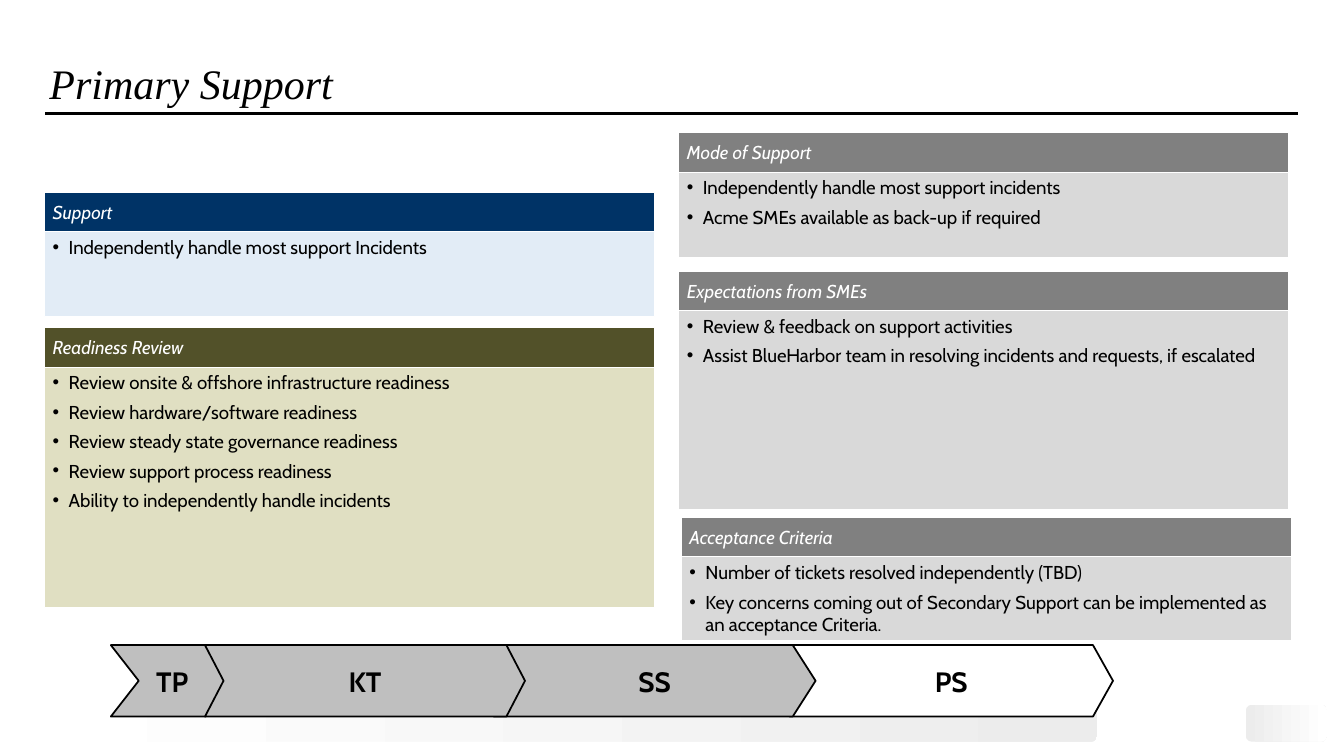
from dataclasses import dataclass

from lxml import etree
from pptx import Presentation
from pptx.dml.color import RGBColor
from pptx.enum.shapes import MSO_CONNECTOR, MSO_SHAPE
from pptx.enum.text import MSO_ANCHOR, PP_ALIGN
from pptx.oxml.ns import qn
from pptx.util import Inches, Pt

RECTANGLE, ROUNDED = MSO_SHAPE.RECTANGLE, MSO_SHAPE.ROUNDED_RECTANGLE
CHEVRON, STRAIGHT = MSO_SHAPE.CHEVRON, MSO_CONNECTOR.STRAIGHT
TOP, MIDDLE, BOTTOM = MSO_ANCHOR.TOP, MSO_ANCHOR.MIDDLE, MSO_ANCHOR.BOTTOM
LEFT, CENTER = PP_ALIGN.LEFT, PP_ALIGN.CENTER


@dataclass(frozen=True)
class Theme:
    title_font: str = "Times New Roman"
    body_font: str = "Cabin"
    title_size: int = 36
    body_size: int = 16
    phase_size: int = 24
    black: str = "000000"
    white: str = "FFFFFF"
    footer: str = "ECECEC"
    navy: str = "003366"
    pale_blue: str = "E2ECF6"
    olive: str = "525129"
    pale_olive: str = "E0DFC2"
    gray: str = "808080"
    pale_gray: str = "D9D9D9"
    phase_gray: str = "BFBFBF"


THEME = Theme()
PANEL_WIDTH, HEADER_HEIGHT = 7.26, 0.47
LEFT_COLUMN, RIGHT_COLUMN = 0.53, 8.08
NAVY = (THEME.navy, THEME.pale_blue)
OLIVE = (THEME.olive, THEME.pale_olive)
GRAY = (THEME.gray, THEME.pale_gray)

# left, top, body height, (header colour, body colour), heading, bullets
PANELS = [
    (LEFT_COLUMN, 2.29, 1.01, NAVY, "Support",
     ["Independently handle most support Incidents"]),
    (RIGHT_COLUMN, 1.58, 1.01, GRAY, "Mode of Support",
     ["Independently handle most support incidents",
      "Acme SMEs available as back-up if required"]),
    (LEFT_COLUMN, 3.9, 2.86, OLIVE, "Readiness Review",
     ["Review onsite & offshore infrastructure readiness",
      "Review hardware/software readiness",
      "Review steady state governance readiness",
      "Review support process readiness",
      "Ability to independently handle incidents"]),
    (RIGHT_COLUMN, 3.23, 2.36, GRAY, "Expectations from SMEs",
     ["Review & feedback on support activities",
      "Assist BlueHarbor team in resolving incidents and requests, if escalated"]),
    (RIGHT_COLUMN + 0.03, 6.16, 0.99, GRAY, "Acceptance Criteria",
     ["Number of tickets resolved independently (TBD)",
      "Key concerns coming out of Secondary Support can be implemented as "
      "an acceptance Criteria."]),
]

# label, left, width, point depth, fill; later phases overlap earlier ones
PHASES = [
    ("TP", 1.32, 1.46, 0.39, THEME.phase_gray),
    ("PS", 9.4, 3.85, 0.28, THEME.white),
    ("SS", 5.88, 3.83, 0.32, THEME.phase_gray),
    ("KT", 2.44, 3.81, 0.26, THEME.phase_gray),
]


def rgb(color):
    return RGBColor.from_string(color)


class SlideBuilder:
    def __init__(self, slide, theme):
        self.slide = slide
        self.theme = theme

    def shape(self, kind, left, top, width, height):
        shape = self.slide.shapes.add_shape(
            kind, Inches(left), Inches(top), Inches(width), Inches(height))
        shape.shadow.inherit = False
        return shape

    def filled(self, kind, bounds, fill, line, line_width):
        shape = self.shape(kind, *bounds)
        shape.fill.solid()
        shape.fill.fore_color.rgb = rgb(fill)
        shape.line.color.rgb = rgb(line)
        shape.line.width = Pt(line_width)
        return shape

    def frame(self, shape, anchor):
        frame = shape.text_frame
        frame.word_wrap = True
        frame.vertical_anchor = anchor
        return frame

    def add_text(self, paragraph, text, size, color, font=None, align=LEFT,
                 bold=False, italic=False):
        paragraph.alignment = align
        run = paragraph.add_run()
        run.text = text
        run.font.name = font or self.theme.body_font
        run.font.size = Pt(size)
        run.font.color.rgb = rgb(color)
        run.font.bold = bold
        run.font.italic = italic

    def bullets(self, frame, items):
        for index, item in enumerate(items):
            paragraph = frame.add_paragraph() if index else frame.paragraphs[0]
            properties = paragraph._p.get_or_add_pPr()
            properties.set("marL", str(Inches(0.19)))
            properties.set("indent", str(-Inches(0.19)))
            paragraph.space_before = Pt(3 if index else 0)
            paragraph.space_after = Pt(3)
            etree.SubElement(properties, qn("a:buFont")).set("typeface", "Arial")
            etree.SubElement(properties, qn("a:buChar")).set("char", "•")
            self.add_text(paragraph, item, self.theme.body_size, self.theme.black)

    def panel(self, left, top, body_height, colors, heading, items):
        theme = self.theme
        header_color, body_color = colors
        header = self.filled(RECTANGLE, (left, top, PANEL_WIDTH, HEADER_HEIGHT),
                             header_color, theme.white, 0.75)
        self.add_text(self.frame(header, MIDDLE).paragraphs[0], heading,
                      theme.body_size, theme.white, italic=True)
        body = self.filled(
            RECTANGLE, (left, top + HEADER_HEIGHT, PANEL_WIDTH, body_height),
            body_color, theme.white, 0.75)
        self.bullets(self.frame(body, TOP), items)

    def phase(self, label, left, width, depth, fill):
        theme = self.theme
        chevron = self.filled(CHEVRON, (left, 7.68, width, 0.85),
                              fill, theme.black, 1.5)
        chevron.adjustments[0] = depth
        self.add_text(self.frame(chevron, MIDDLE).paragraphs[0], label,
                      theme.phase_size, theme.black, align=CENTER, bold=True)

    def footer_bar(self, left, width, start, end):
        bar = self.shape(ROUNDED, left, 8.39, width, 0.44)
        bar.line.fill.background()
        bar.fill.gradient()
        bar.fill.gradient_angle = 0
        for stop, color in zip(bar.fill.gradient_stops, (start, end)):
            stop.color.rgb = rgb(color)

    def rule(self, left, right, top):
        line = self.slide.shapes.add_connector(
            STRAIGHT, Inches(left), Inches(top), Inches(right), Inches(top))
        line.line.color.rgb = rgb(self.theme.black)
        line.line.width = Pt(3)
        etree.SubElement(line._element.spPr, qn("a:effectLst"))

    def title(self, text):
        box = self.slide.shapes.add_textbox(
            Inches(0.49), Inches(0.19), Inches(15.02), Inches(1.14))
        paragraph = self.frame(box, BOTTOM).paragraphs[0]
        paragraph.line_spacing = Pt(40)
        self.add_text(paragraph, text, self.theme.title_size, self.theme.black,
                      font=self.theme.title_font, italic=True)


def main():
    presentation = Presentation()
    presentation.slide_width = Inches(16)
    presentation.slide_height = Inches(9)
    slide = presentation.slides.add_slide(presentation.slide_layouts[6])
    builder = SlideBuilder(slide, THEME)

    builder.footer_bar(0.34, 12.72, THEME.white, THEME.footer)
    builder.footer_bar(14.83, 0.97, THEME.footer, THEME.white)
    builder.rule(0.54, 15.45, 1.35)
    builder.title("Primary Support")
    for panel in PANELS:
        builder.panel(*panel)
    for phase in PHASES:
        builder.phase(*phase)

    presentation.save("out.pptx")


if __name__ == "__main__":
    main()
